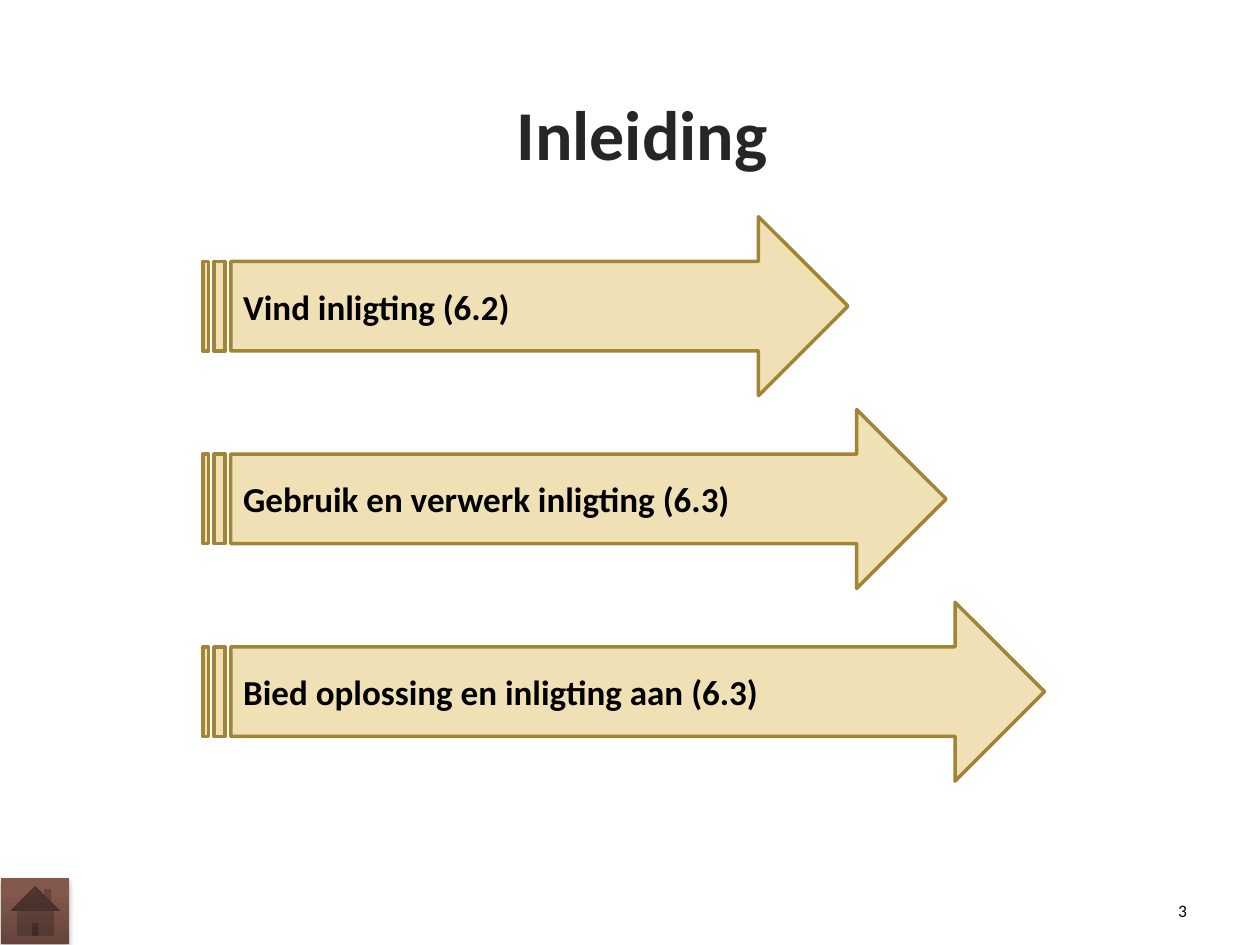
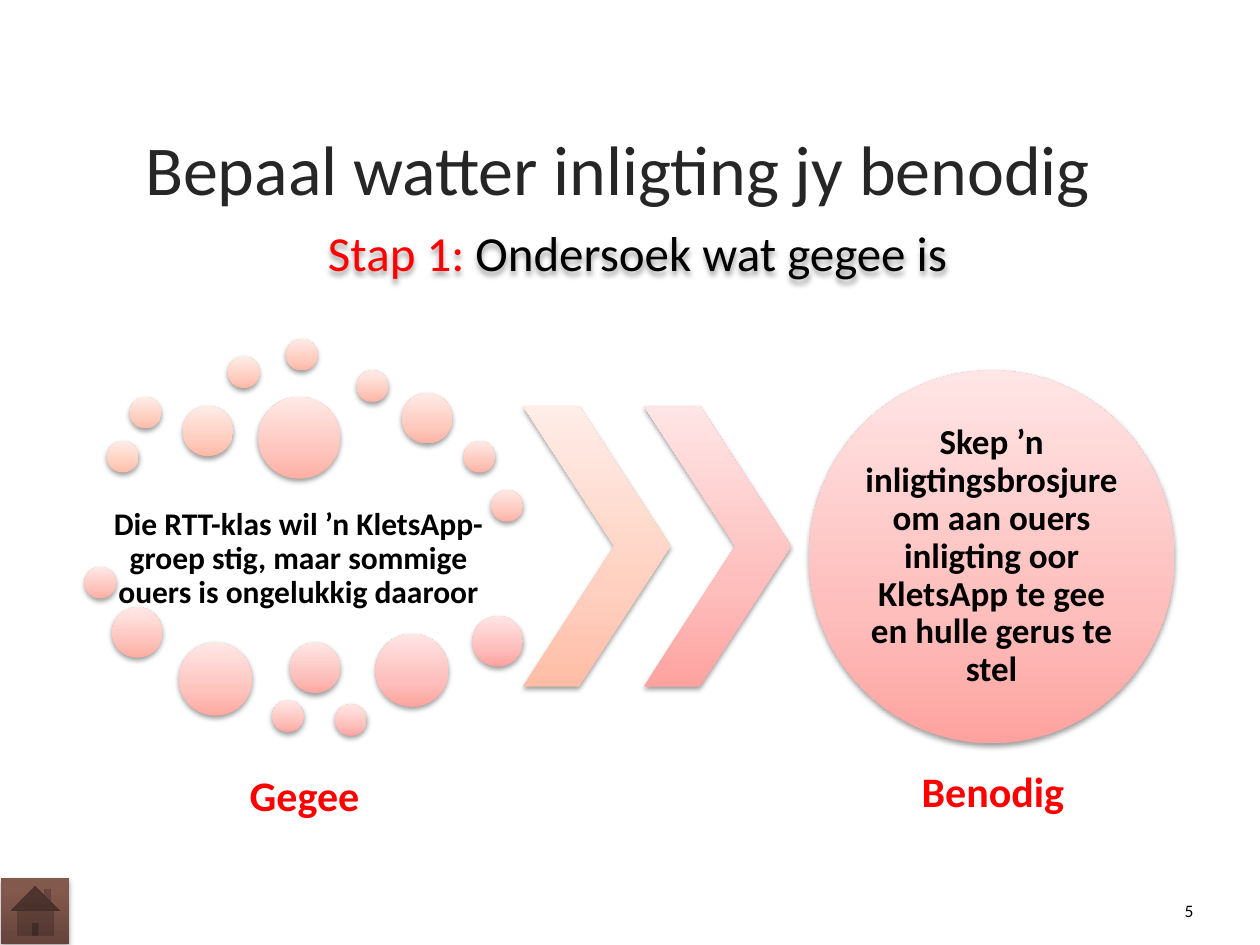
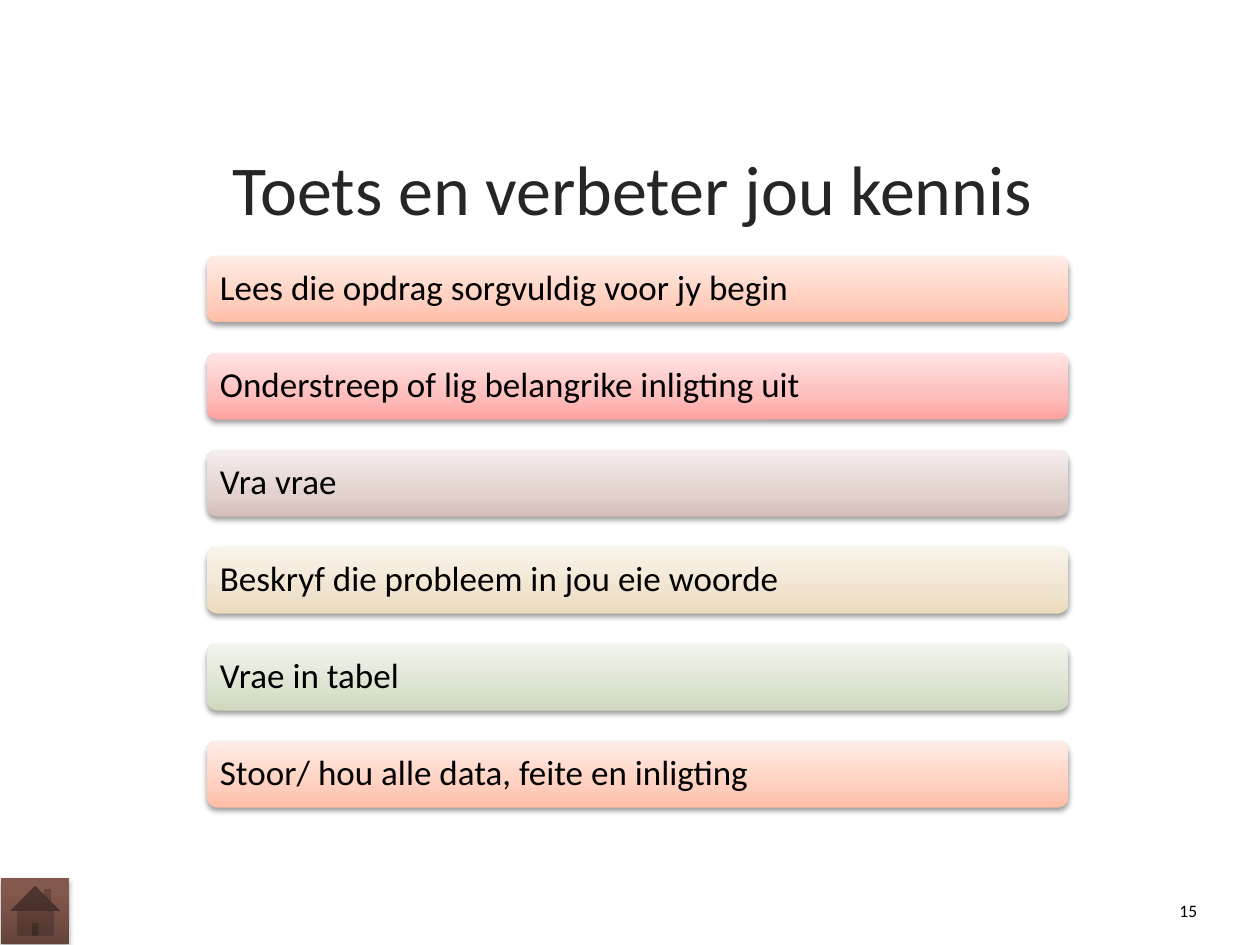
from dataclasses import dataclass

from lxml import etree
from pptx import Presentation, util as u
from pptx.dml.color import RGBColor
from pptx.enum import shapes, text
from pptx.oxml.ns import qn

PX = 9144


@dataclass(frozen=True)
class Theme:
    """Colours, gradients, font and type sizes of the deck."""
    font: str = "Calibri"
    ink: str = "000000"
    title_ink: str = "262626"
    accent: str = "FF0000"
    arrow_fill: str = "F0E0B5"
    arrow_line: str = "A18435"
    button: tuple = ((0, "65443B"), (80, "83584D"), (100, "85584C"))
    orange: tuple = ((0, "FFBDA6"), (35, "FFD0C0"), (100, "FFEDE7"))
    red: tuple = ((0, "FEA29F"), (35, "FDBEBC"), (100, "FFE5E5"))
    mauve: tuple = ((0, "D6BFBA"), (35, "E2D2CE"), (100, "F4EEEC"))
    sand: tuple = ((0, "EBDABC"), (35, "F0E4D0"), (100, "FAF5EC"))
    green: tuple = ((0, "CDD8BD"), (35, "DBE3D1"), (100, "F1F5ED"))
    title_size: int = 40
    subtitle_size: int = 28
    label_size: int = 24
    body_size: int = 20
    caption_size: int = 18
    number_size: int = 10


@dataclass(frozen=True)
class Box:
    """A rectangle in px that can give boxes inside itself."""
    x: int
    y: int
    w: int
    h: int

    def inner(self, x, y, w, h):
        """Return a box measured from this box's corner."""
        return Box(self.x + x, self.y + y, w, h)

    def emu(self):
        """Return left, top, width and height in EMU."""
        return [side * PX for side in (self.x, self.y, self.w, self.h)]


THEME = Theme()
PAGE = Box(0, 0, 1000, 750)
CENTER, LEFT, RIGHT = text.PP_ALIGN.CENTER, text.PP_ALIGN.LEFT, text.PP_ALIGN.RIGHT


def write(shape, content, size, color=THEME.ink, bold=False, align=CENTER,
          spacing=None, anchor=text.MSO_ANCHOR.MIDDLE, insets=(10, 5)):
    """Write a string, or (string, colour) runs, as one formatted paragraph."""
    frame = shape.text_frame
    frame.auto_size = text.MSO_AUTO_SIZE.NONE
    frame.word_wrap = True
    frame.vertical_anchor = anchor
    frame.margin_left = frame.margin_right = insets[0] * PX
    frame.margin_top = frame.margin_bottom = insets[1] * PX
    paragraph = frame.paragraphs[0]
    paragraph.alignment = align
    if spacing:
        paragraph.line_spacing = spacing
    for words, ink in [(content, color)] if isinstance(content, str) else content:
        run = paragraph.add_run()
        run.text = words
        run.font.name = THEME.font
        run.font.size = u.Pt(size)
        run.font.bold = bold
        run.font.color.rgb = RGBColor.from_string(ink)


def add_text(slide, box, content, size, **style):
    """Add a text box and write into it."""
    holder = slide.shapes.add_textbox(*box.emu())
    write(holder, content, size, **style)
    return holder


def cast_shadow(shape, opacity=38):
    """Give a shape a soft shadow straight below it."""
    shape.shadow.inherit = False
    effects = shape._element.spPr.find(qn("a:effectLst"))
    outer = etree.SubElement(effects, qn("a:outerShdw"), blurRad=str(u.Pt(3.1)),
                             dist=str(u.Pt(1.6)), dir="5400000", rotWithShape="0")
    color = etree.SubElement(outer, qn("a:srgbClr"), val=THEME.ink)
    etree.SubElement(color, qn("a:alpha"), val=str(opacity * 1000))


def add_shaded(slide, kind, box, stops, opacity=38):
    """Add a borderless shape with an upward gradient and a shadow."""
    shape = slide.shapes.add_shape(kind, *box.emu())
    shape.fill.gradient()
    shape.fill.gradient_angle = 90
    stop_list = shape._element.spPr.find(qn("a:gradFill")).find(qn("a:gsLst"))
    stop_list.clear()
    for position, color in stops:
        stop = etree.SubElement(stop_list, qn("a:gs"), pos=str(position * 1000))
        etree.SubElement(stop, qn("a:srgbClr"), val=color)
    shape.line.fill.background()
    cast_shadow(shape, opacity)
    return shape


def blend(start, end, share):
    """Mix two gradients stop by stop."""
    def mix(first, second):
        """Mix two colours channel by channel."""
        pairs = zip(RGBColor.from_string(first), RGBColor.from_string(second))
        return str(RGBColor(*(round(a + (b - a) * share) for a, b in pairs)))
    return [(position, mix(first, second))
            for (position, first), (_, second) in zip(start, end)]


def add_page(deck, title, title_box, number, number_left, bold=False):
    """Add a slide with its title, number and home button."""
    slide = deck.slides.add_slide(deck.slide_layouts[5])
    heading = slide.shapes.title
    heading.left, heading.top, heading.width, heading.height = title_box.emu()
    write(heading, title, THEME.title_size, color=THEME.title_ink, bold=bold)
    add_text(slide, PAGE.inner(number_left, 707, 43, 31), number,
             THEME.number_size, align=RIGHT)
    add_shaded(slide, shapes.MSO_SHAPE.ACTION_BUTTON_HOME,
               PAGE.inner(1, 697, 54, 52), THEME.button, opacity=35)
    return slide


def add_arrows(slide, box, steps):
    """Stack striped arrows that grow to the full width of the box."""
    pitch, growth, height = 153, 78, 142
    for i, step in enumerate(steps):
        width = box.w - growth * (len(steps) - 1 - i)
        arrow = slide.shapes.add_shape(shapes.MSO_SHAPE.STRIPED_RIGHT_ARROW,
                                       *box.inner(0, i * pitch, width, height).emu())
        arrow.shadow.inherit = False
        arrow.fill.solid()
        arrow.fill.fore_color.rgb = RGBColor.from_string(THEME.arrow_fill)
        arrow.line.color.rgb = RGBColor.from_string(THEME.arrow_line)
        arrow.line.width = u.Pt(2)
        write(arrow, step, THEME.body_size, bold=True, align=LEFT)


def add_given(slide, box, caption, label):
    """Draw the cloud of dots around a caption, with its label below."""
    dots = [(18, 81, 25), (36, 46, 25), (78, 53, 40), (114, 14, 25), (160, 0, 25),
            (216, 25, 25), (252, 43, 40), (301, 81, 25), (323, 120, 25),
            (138, 46, 65), (0, 181, 25), (22, 213, 40), (75, 241, 58),
            (149, 287, 25), (163, 241, 40), (199, 290, 25), (231, 234, 58),
            (308, 220, 40)]
    add_text(slide, box.inner(11, 105, 318, 140), caption, THEME.caption_size,
             bold=True, spacing=0.9, insets=(3, 3))
    for i, (x, y, size) in enumerate(dots):
        add_shaded(slide, shapes.MSO_SHAPE.OVAL, box.inner(x, y, size, size),
                   blend(THEME.orange, THEME.red, i / (len(dots) - 1)))
    add_text(slide, box.inner(40, 344, 277, 40), label, THEME.label_size,
             color=THEME.accent, bold=True, spacing=0.9, insets=(3, 3))


def add_chevrons(slide, box):
    """Draw one chevron per colour, from the left of the box."""
    for i, stops in enumerate((THEME.orange, THEME.red)):
        chevron = add_shaded(slide, shapes.MSO_SHAPE.CHEVRON,
                             box.inner(i * 96, 0, box.w - 96, box.h), stops)
        chevron.adjustments[0] = 0.62


def add_needed(slide, box, task, label):
    """Draw the task circle with its label below."""
    circle = add_shaded(slide, shapes.MSO_SHAPE.OVAL, box, THEME.red)
    write(circle, task, THEME.body_size, bold=True, spacing=0.9, insets=(0, 0))
    add_text(slide, box.inner(-13, 309, 318, 54), label, THEME.label_size,
             color=THEME.accent, bold=True, spacing=0.9, insets=(3, 3))


def add_bars(slide, box, tips):
    """Spread rounded bars evenly over the height of the box."""
    height = 53
    pitch = (box.h - height) // (len(tips) - 1)
    for i, (tip, stops) in enumerate(tips):
        bar = add_shaded(slide, shapes.MSO_SHAPE.ROUNDED_RECTANGLE,
                         box.inner(0, i * pitch, box.w, height), stops)
        write(bar, tip, THEME.body_size, align=LEFT, spacing=0.9, insets=(8, 8))


def build_intro(deck):
    """Build the introduction with three growing arrows."""
    slide = add_page(deck, "Inleiding", Box(287, 70, 445, 71), "3", 909, bold=True)
    add_arrows(slide, Box(161, 172, 668, 448),
               ["Vind inligting (6.2)", "Gebruik en verwerk inligting (6.3)",
                "Bied oplossing en inligting aan (6.3)"])


def build_step(deck):
    """Build the step that leads from what is given to what is needed."""
    slide = add_page(deck, "Bepaal watter inligting jy benodig ",
                     Box(49, 90, 895, 86), "5", 914)
    subtitle = add_text(slide, Box(196, 172, 620, 57),
                        [("Stap 1: ", THEME.accent),
                         ("Ondersoek wat gegee is", THEME.ink)],
                        THEME.subtitle_size, anchor=text.MSO_ANCHOR.TOP)
    cast_shadow(subtitle)
    add_given(slide, Box(67, 269, 348, 315),
              "Die RTT-klas wil ’n KletsApp- groep stig, maar sommige ouers is "
              "ongelukkig daaroor", "Gegee ")
    add_chevrons(slide, Box(415, 322, 213, 223))
    add_needed(slide, Box(642, 294, 290, 296),
               "Skep ’n inligtingsbrosjure om aan ouers inligting oor KletsApp "
               "te gee en hulle gerus te stel", "Benodig")


def build_tips(deck):
    """Build the list of tips on coloured bars."""
    slide = add_page(deck, "Toets en verbeter jou kennis",
                     Box(130, 77, 744, 143), "15", 917)
    add_bars(slide, Box(164, 203, 684, 438), [
        ("Lees die opdrag sorgvuldig voor jy begin", THEME.orange),
        ("Onderstreep of lig belangrike inligting uit", THEME.red),
        ("Vra vrae", THEME.mauve),
        ("Beskryf die probleem in jou eie woorde", THEME.sand),
        ("Vrae in tabel", THEME.green),
        ("Stoor/ hou alle data, feite en inligting", THEME.orange)])


def main():
    """Build and save the deck."""
    deck = Presentation()
    deck.slide_width, deck.slide_height = PAGE.w * PX, PAGE.h * PX
    for build in (build_intro, build_step, build_tips):
        build(deck)
    deck.save("out.pptx")


if __name__ == "__main__":
    main()
